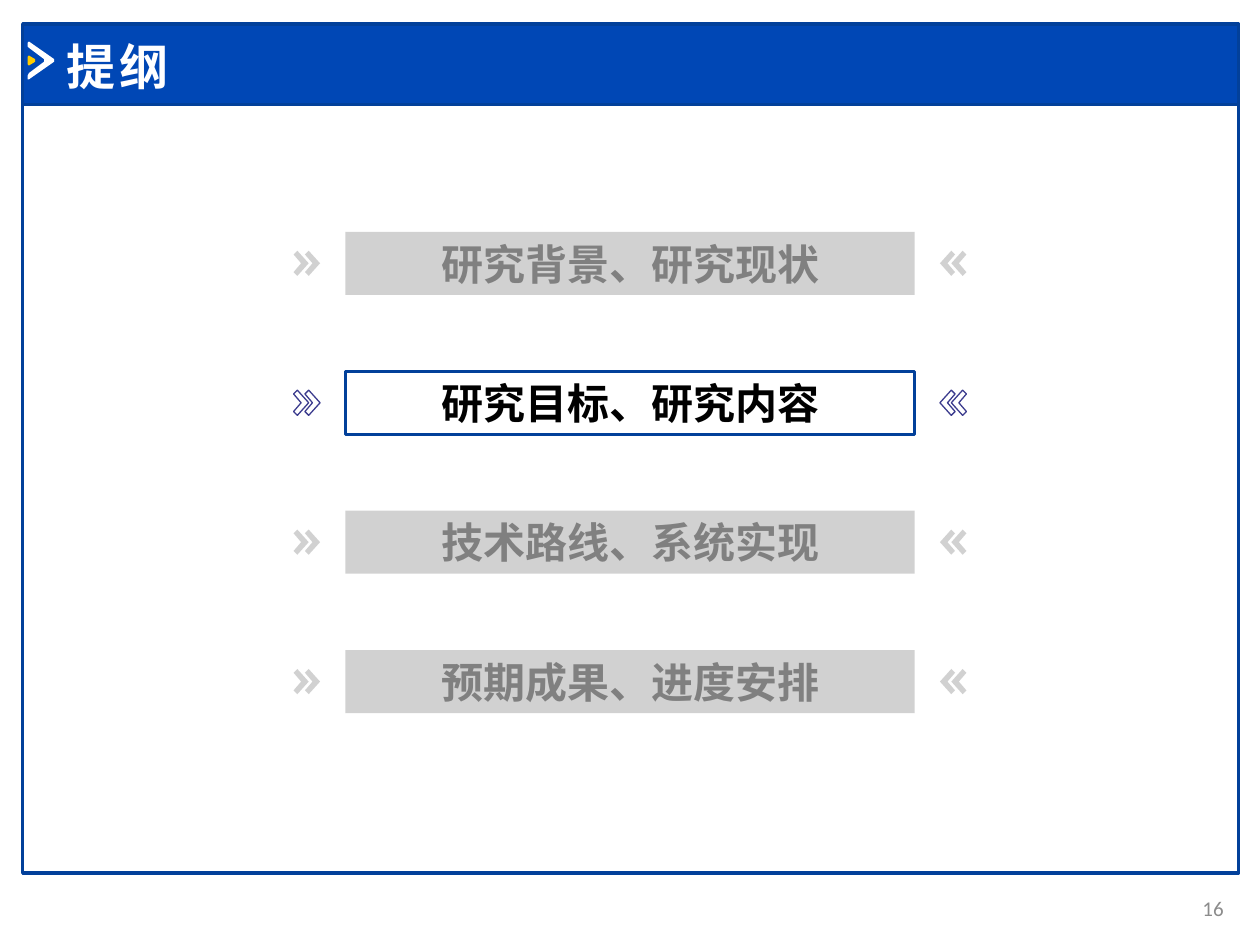
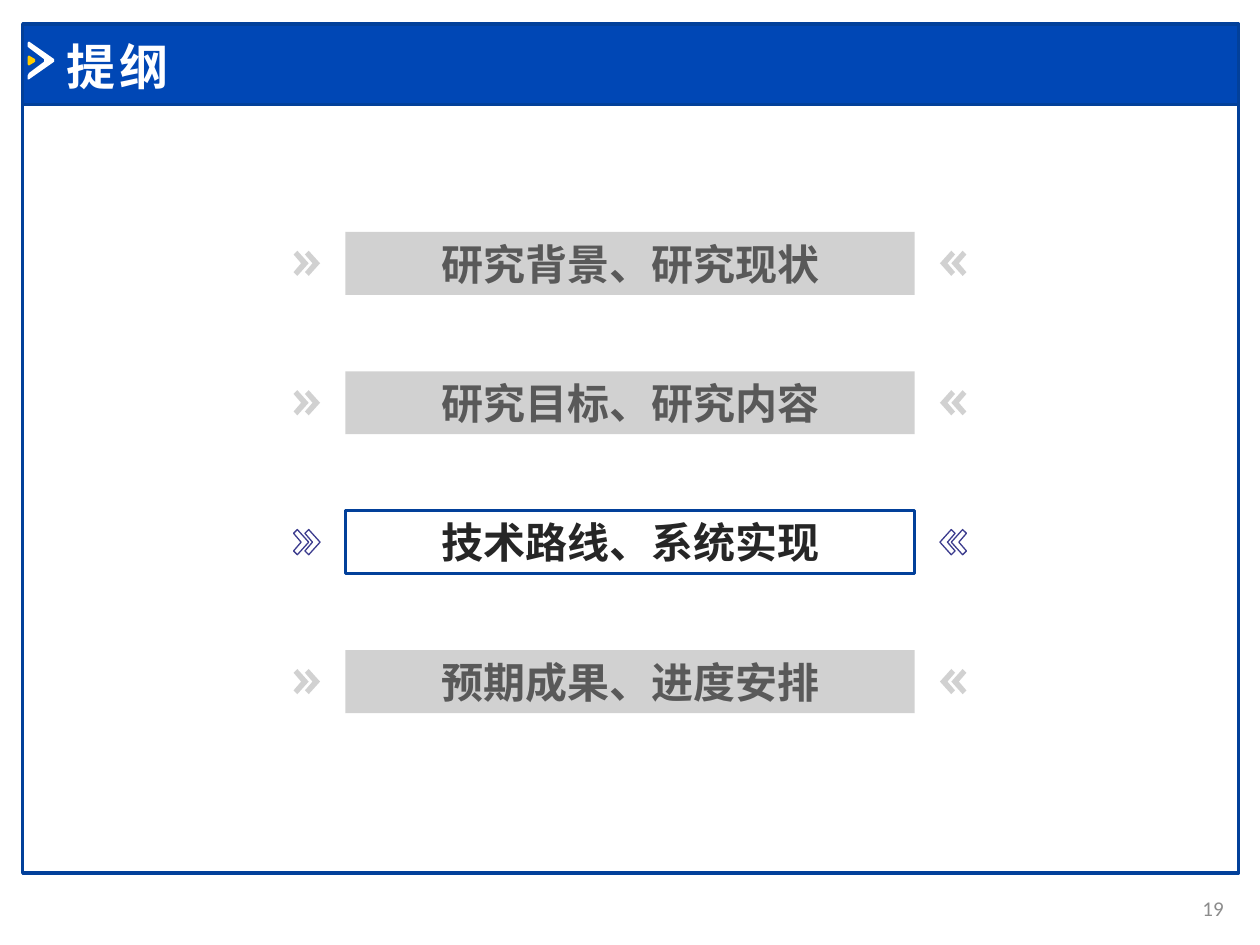
from lxml.etree import SubElement
from pptx import Presentation
from pptx.dml.color import RGBColor
from pptx.enum.shapes import MSO_SHAPE
from pptx.enum.text import MSO_ANCHOR, MSO_AUTO_SIZE, PP_ALIGN
from pptx.oxml.ns import qn
from pptx.util import Inches, Pt

WHITE = RGBColor(0xFF, 0xFF, 0xFF)
BAND_BLUE = RGBColor(0x00, 0x47, 0xB5)
FRAME_BLUE = RGBColor(0x02, 0x40, 0x9A)
ARROW_BLUE = RGBColor(0x3C, 0x3C, 0x8E)
YELLOW = RGBColor(0xFF, 0xCC, 0x00)
GREY = RGBColor(0xA5, 0xA5, 0xA5)
PAGE_GREY = RGBColor(0x8C, 0x8C, 0x8C)
LATIN, CJK = "Calibri", "Noto Sans CJK SC"

WIDTH, HEIGHT = 10, 7.5
FRAME_LEFT, FRAME_WIDTH = 0.18, 9.65
BAND_TOP, BAND_HEIGHT, FRAME_HEIGHT = 0.19, 0.64, 6.1

TOPICS = ["研究背景、研究现状", "研究目标、研究内容", "技术路线、系统实现", "预期成果、进度安排"]
FIRST_ROW, LAST_ROW = 1.84, 5.16
ROW_PITCH = (LAST_ROW - FIRST_ROW) / (len(TOPICS) - 1)
BAR_WIDTH, BAR_HEIGHT = 4.52, 0.5
CHEVRON_LEFTS = (2.33, 2.42)
# Outline of one chevron, measured from its left edge and the row's middle
CHEVRON = [(0.03, -0.1), (0, -0.07), (0.06, 0), (0, 0.07), (0.03, 0.1), (0.12, 0)]

# Page number, current topic, its text colour, text colour of the others
OUTLINES = [
    ("16", 1, RGBColor(0x00, 0x00, 0x00), RGBColor(0x80, 0x80, 0x80)),
    ("19", 2, RGBColor(0x26, 0x26, 0x26), RGBColor(0x59, 0x59, 0x59)),
]


def paint(shape, fill=None, line=None, width=0.75, alpha=None):
    shape.shadow.inherit = False
    if fill is None:
        shape.fill.background()
    else:
        shape.fill.solid()
        shape.fill.fore_color.rgb = fill
    if alpha:
        colour = shape.element.spPr.find(qn("a:solidFill"))[0]
        SubElement(colour, qn("a:alpha"), val=str(alpha * 1000))
    if line is None:
        shape.line.fill.background()
    else:
        shape.line.color.rgb = line
        shape.line.width = Pt(width)


def write(shape, text, colour, align, spacing=0, frame_format=None, **font_format):
    frame = shape.text_frame
    settings = {"word_wrap": True, "auto_size": MSO_AUTO_SIZE.NONE,
                "vertical_anchor": MSO_ANCHOR.MIDDLE, **(frame_format or {})}
    for name, value in settings.items():
        setattr(frame, name, value)
    paragraph = frame.paragraphs[0]
    paragraph.alignment = align
    run = paragraph.add_run()
    run.text = text
    for name, value in font_format.items():
        setattr(run.font, name, value)
    run.font.color.rgb = colour
    properties = run.font._element
    SubElement(properties, qn("a:ea"), typeface=CJK)
    if spacing:
        properties.set("spc", str(spacing * 100))


deck = Presentation()
deck.slide_width, deck.slide_height = Inches(WIDTH), Inches(HEIGHT)
layout = deck.slide_layouts[5]
slides = [deck.slides.add_slide(layout) for _ in OUTLINES]

# Shared frame, title band and arrow mark, moved into the layout
shapes = slides[0].shapes
shared = []
for top, height, fill in ((BAND_TOP + BAND_HEIGHT, FRAME_HEIGHT, None),
                          (BAND_TOP, BAND_HEIGHT, BAND_BLUE)):
    panel = shapes.add_shape(MSO_SHAPE.RECTANGLE, Inches(FRAME_LEFT), Inches(top),
                             Inches(FRAME_WIDTH), Inches(height))
    paint(panel, fill, FRAME_BLUE, 2)
    shared.append(panel)

MARKS = [
    (WHITE, [(0.23, 0.33), (0.22, 0.34), (0.22, 0.37), (0.23, 0.38), (0.35, 0.47),
             (0.35, 0.49), (0.23, 0.58), (0.22, 0.6), (0.22, 0.63), (0.23, 0.63),
             (0.43, 0.49), (0.43, 0.47)]),
    (YELLOW, [(0.23, 0.44), (0.22, 0.45), (0.22, 0.51), (0.23, 0.52),
              (0.28, 0.49), (0.28, 0.47)]),
]
for colour, outline in MARKS:
    points = [(Inches(x), Inches(y)) for x, y in outline]
    pen = shapes.build_freeform(*points[0])
    pen.add_line_segments(points[1:])
    mark = pen.convert_to_shape()
    paint(mark, colour)
    shared.append(mark)

for number, part in enumerate(shared, 100):
    part.element.nvSpPr.cNvPr.id = number
    layout.shapes.element.append(part.element)

# Outline slides
for slide, (page, current, current_colour, other_colour) in zip(slides, OUTLINES):
    shapes = slide.shapes
    title = shapes.title
    title.left, title.top, title.width, title.height = map(Inches, (0.43, 0.24, 8.28, 0.57))
    write(title, "提纲", WHITE, PP_ALIGN.LEFT, spacing=2, size=Pt(28), bold=True, name=LATIN)

    page_number = shapes.add_textbox(*map(Inches, (9.22, 7.01, 0.59, 0.4)))
    write(page_number, page, PAGE_GREY, PP_ALIGN.RIGHT, size=Pt(12), name=LATIN)

    # One bar per topic, with a pair of chevrons on either side
    for row, topic in enumerate(TOPICS):
        top = FIRST_ROW + row * ROW_PITCH
        middle = top + BAR_HEIGHT / 2
        if row == current:
            text_colour = current_colour
            bar_style = {"line": FRAME_BLUE, "width": 1.5}
            chevron_style = {"line": ARROW_BLUE}
        else:
            text_colour = other_colour
            bar_style = chevron_style = {"fill": GREY, "alpha": 50}

        bar = shapes.add_shape(MSO_SHAPE.RECTANGLE, Inches((WIDTH - BAR_WIDTH) / 2),
                               Inches(top), Inches(BAR_WIDTH), Inches(BAR_HEIGHT))
        paint(bar, **bar_style)
        write(bar, topic, text_colour, PP_ALIGN.CENTER,
              frame_format={"margin_top": 0, "margin_bottom": 0},
              size=Pt(24), bold=True, name=CJK)

        for mirrored in (False, True):
            for left in CHEVRON_LEFTS:
                points = [(Inches(WIDTH - left - x if mirrored else left + x),
                           Inches(middle + y)) for x, y in CHEVRON]
                pen = shapes.build_freeform(*points[0])
                pen.add_line_segments(points[1:])
                paint(pen.convert_to_shape(), **chevron_style)

deck.save("out.pptx")
